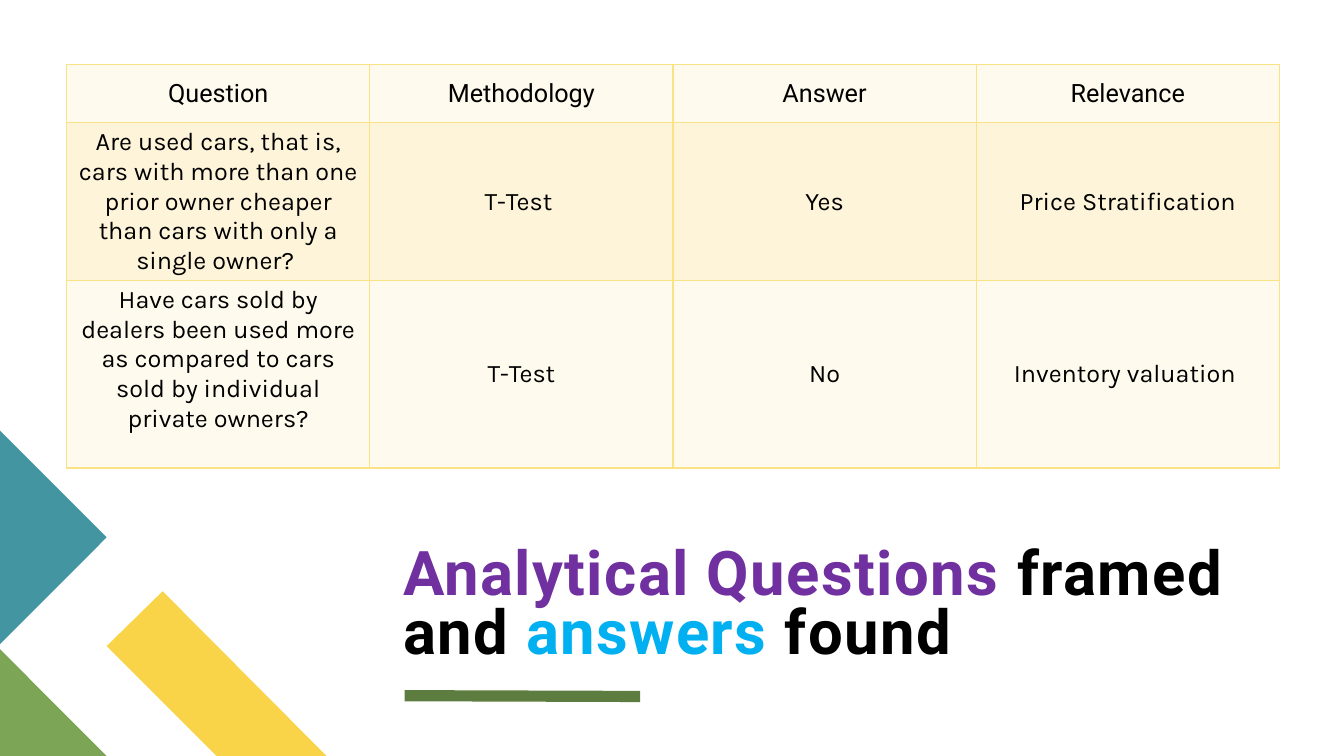
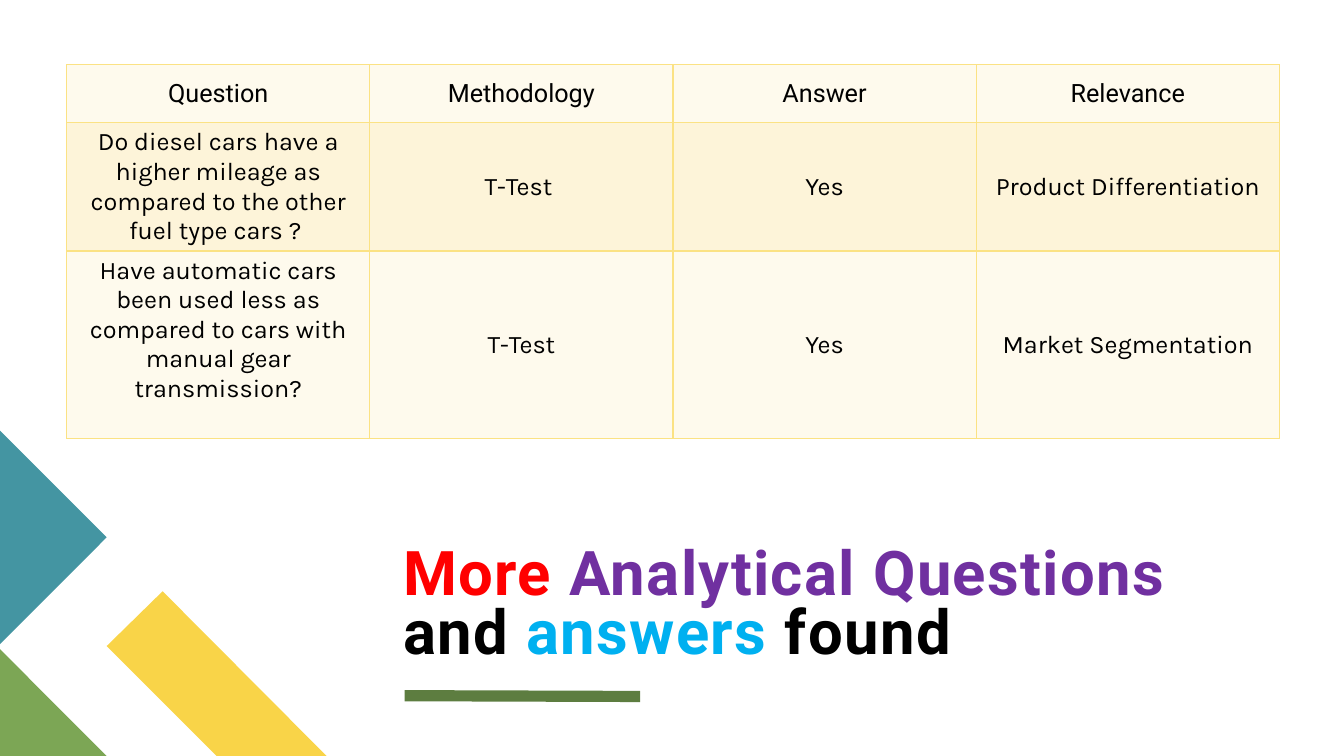
from pptx import Presentation
from pptx.dml.color import RGBColor
from pptx.enum import shapes, text
from pptx.oxml import parse_xml
from pptx.oxml.ns import nsdecls
from pptx.util import Cm, Pt

# Content: title runs as (text, colour), then the table body
HEAD = ["Question", "Methodology", "Answer", "Relevance"]
SLIDES = [
    {"title": [("Analytical Questions ", "purple"), ("framed and ", "black"),
               ("answers", "blue"), (" found", "black")],
     "rows": [
         ["Are used cars, that is, cars with more than one prior owner "
          "cheaper than cars with only a single owner? ",
          "T-Test ", "Yes", "Price Stratification"],
         ["Have cars sold by dealers been used more as compared to cars "
          "sold by individual private owners?",
          "T-Test", "No", "Inventory valuation "]]},
    {"title": [("More", "red"), (" Analytical Questions", "purple"),
               (" and ", "black"), ("answers", "blue"), (" found", "black")],
     "rows": [
         ["Do diesel cars have a higher mileage as compared to the other "
          "fuel type cars ? ",
          "T-Test ", "Yes", "Product Differentiation"],
         ["Have automatic cars been used less as compared to cars with "
          "manual gear transmission?",
          "T-Test", "Yes", "Market Segmentation"]]},
]

# Shared style
COLORS = {"purple": "7030A0", "black": "000000", "blue": "00B0F0",
          "red": "FF0000", "yellow": "F9D448", "green": "7CA655",
          "teal": "4495A2", "rule": "5D7D40", "border": "FBE284",
          "pale": "FEFAED", "band": "FDF4D9"}
DECOR = [
    ("yellow", [(8.23, 19.05), (5.46, 19.05), (2.69, 16.28), (4.1, 14.9)]),
    ("green", [(2.69, 19.05), (0, 19.05), (0, 16.36)]),
    ("teal", [(0, 10.85), (2.69, 13.54), (0, 16.23)]),
]
HEIGHTS = [1.46, 2.03, 2.03]
COL = 7.64
FOOT = 0.87  # extra room under the last question


def color(name):
    return RGBColor.from_string(COLORS[name])


def style(run, font, size, name, bold=False):
    run.font.name = font
    run.font.size = Pt(size)
    run.font.bold = bold
    run.font.color.rgb = color(name)


def add_decor(slide):
    # Corner shapes
    for name, points in DECOR:
        first, *rest = [(Cm(x), Cm(y)) for x, y in points]
        build = slide.shapes.build_freeform(*first)
        build.add_line_segments(rest, close=True)
        shape = build.convert_to_shape()
        shape.shadow.inherit = False
        shape.fill.solid()
        shape.fill.fore_color.rgb = color(name)
        shape.line.fill.background()
    # Rule under the title
    rule = slide.shapes.add_connector(
        shapes.MSO_CONNECTOR.STRAIGHT,
        Cm(10.2), Cm(17.53), Cm(16.13), Cm(17.55))
    rule.line.color.rgb = color("rule")
    rule.line.width = Pt(8)
    rule._element.spPr.append(parse_xml(f"<a:effectLst {nsdecls('a')}/>"))


def add_title(slide, runs):
    title = slide.shapes.title
    title.left, title.top = Cm(10.16), Cm(12.95)
    title.width, title.height = Cm(22.05), Cm(3.84)
    frame = title.text_frame
    frame.word_wrap = True
    frame.auto_size = text.MSO_AUTO_SIZE.NONE
    frame.vertical_anchor = text.MSO_ANCHOR.BOTTOM
    frame.margin_left = frame.margin_right = 0
    frame.margin_top = frame.margin_bottom = 0
    para = frame.paragraphs[0]
    para.alignment = text.PP_ALIGN.LEFT
    para.line_spacing = 0.8
    for words, name in runs:
        run = para.add_run()
        run.text = words
        style(run, "Roboto", 44, name, bold=True)
        run.font._element.set("spc", "100")


def add_borders(cell):
    props = cell._tc.get_or_add_tcPr()
    for i, side in enumerate(("lnL", "lnR", "lnT", "lnB")):
        props.insert(i, parse_xml(
            f'<a:{side} {nsdecls("a")} w="12700"><a:solidFill>'
            f'<a:srgbClr val="{COLORS["border"]}"/></a:solidFill></a:{side}>'))


def add_grid(slide, body):
    rows = [HEAD] + body
    table = slide.shapes.add_table(
        len(rows), len(HEAD), Cm(1.68), Cm(1.63),
        Cm(COL * len(HEAD)), Cm(sum(HEIGHTS))).table
    table.first_row = table.horz_banding = False
    for col in table.columns:
        col.width = Cm(COL)
    for r, row in enumerate(rows):
        table.rows[r].height = Cm(HEIGHTS[r])
        for c, words in enumerate(row):
            cell = table.cell(r, c)
            cell.vertical_anchor = text.MSO_ANCHOR.MIDDLE
            cell.fill.solid()
            cell.fill.fore_color.rgb = color("band" if r % 2 else "pale")
            add_borders(cell)
            para = cell.text_frame.paragraphs[0]
            para.text = words
            para.alignment = text.PP_ALIGN.CENTER
            style(para.runs[0], "Karla" if r else "Roboto", 18, "black")
    table.cell(len(rows) - 1, 0).margin_bottom = Cm(FOOT)


def main():
    deck = Presentation()
    deck.slide_width, deck.slide_height = Cm(33.87), Cm(19.05)
    for data in SLIDES:
        slide = deck.slides.add_slide(deck.slide_layouts[5])
        add_decor(slide)
        add_title(slide, data["title"])
        add_grid(slide, data["rows"])
    deck.save("out.pptx")


if __name__ == "__main__":
    main()
